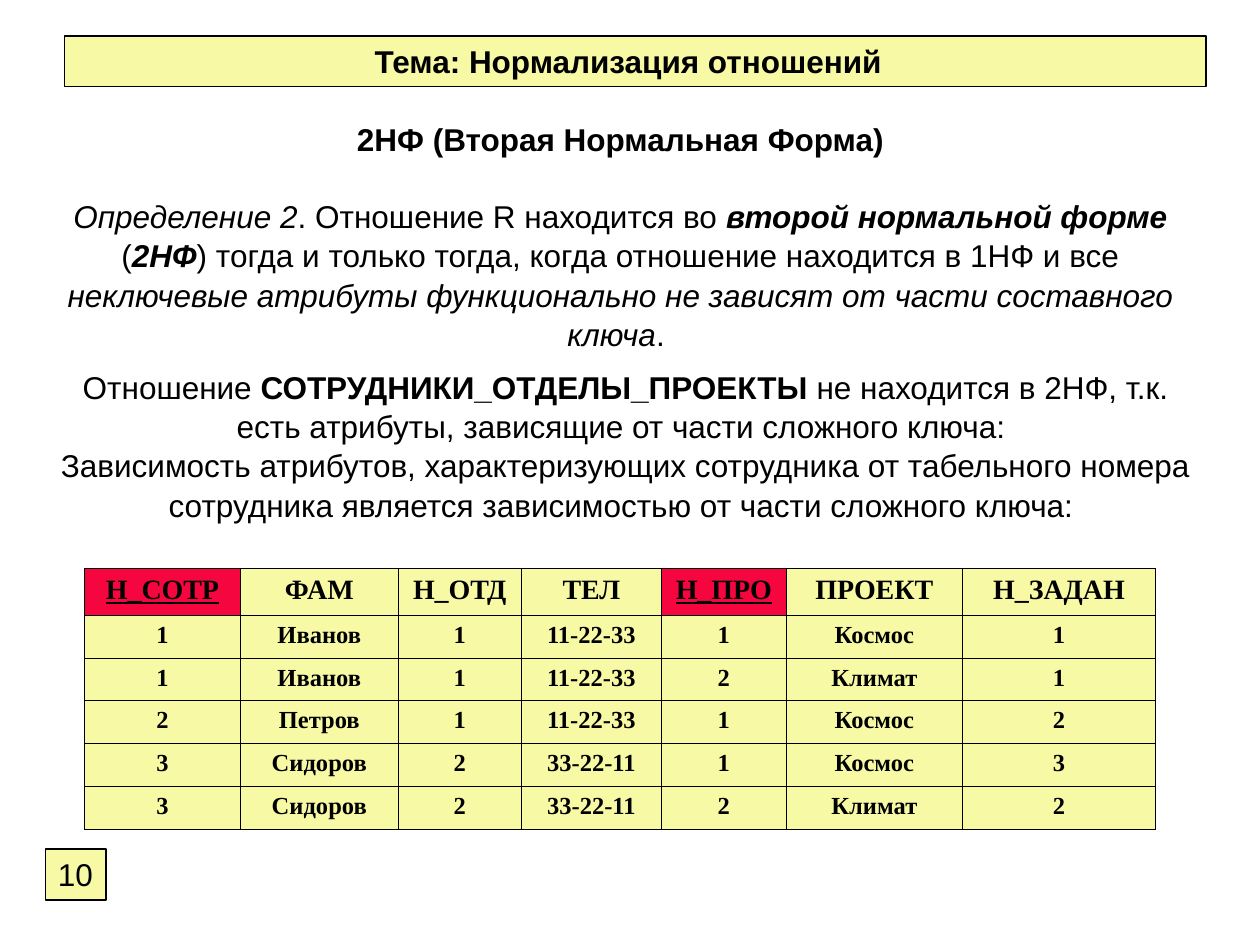
from lxml import etree
from pptx import Presentation
from pptx.dml.color import RGBColor
from pptx.enum.shapes import MSO_SHAPE as Shape
from pptx.enum.text import MSO_ANCHOR as Anchor, PP_ALIGN as Align
from pptx.oxml.ns import qn
from pptx.util import Pt

BLACK = RGBColor(0x00, 0x00, 0x00)
CREAM = RGBColor(0xF7, 0xF9, 0xA5)
RED = RGBColor(0xF6, 0x06, 0x3F)

# Run styles: bold, italic
PLAIN, BOLD, SLANT, BOTH = "", "b", "i", "bi"

INTRO = [
    [("2НФ (Вторая Нормальная Форма)", BOLD)],
    [("Определение 2", SLANT),
     (". Отношение R находится во ", PLAIN),
     ("второй нормальной форме", BOTH),
     (" (", PLAIN),
     ("2НФ", BOTH),
     (") тогда и только тогда, когда отношение находится в 1НФ и все ", PLAIN),
     ("неключевые атрибуты функционально не зависят от части "
      "составного ключа", SLANT),
     (". ", PLAIN)],
]
REASON = [
    [("Отношение ", PLAIN),
     ("СОТРУДНИКИ_ОТДЕЛЫ_ПРОЕКТЫ", BOLD),
     (" не находится в 2НФ, т.к. есть атрибуты, зависящие от части "
      "сложного ключа: ", PLAIN)],
    [("Зависимость атрибутов, характеризующих сотрудника от табельного "
      "номера сотрудника является зависимостью от части сложного ключа: ",
      PLAIN)],
]
ROWS = [
    ["Н_СОТР", "ФАМ", "Н_ОТД", "ТЕЛ", "Н_ПРО", "ПРОЕКТ", "Н_ЗАДАН"],
    ["1", "Иванов", "1", "11-22-33", "1", "Космос", "1"],
    ["1", "Иванов", "1", "11-22-33", "2", "Климат", "1"],
    ["2", "Петров", "1", "11-22-33", "1", "Космос", "2"],
    ["3", "Сидоров", "2", "33-22-11", "1", "Космос", "3"],
    ["3", "Сидоров", "2", "33-22-11", "2", "Климат", "2"],
]
KEYS = {"Н_СОТР", "Н_ПРО"}
WIDTHS = [89.3, 90, 70.5, 80, 71.3, 100.8, 110.2]


class Board:
    """Holds the slide and its style."""
    sans, serif = "Arial", "Times New Roman"
    size, head, body = 18, 16, 14
    edge = 0.45
    pitch = 1.04

    def __init__(self, slide):
        self.slide = slide

    def style(self, run, name, size, marks=PLAIN):
        font = run.font
        font.name, font.size = name, Pt(size)
        font.bold, font.italic = "b" in marks, "i" in marks
        font.color.rgb = BLACK

    def panel(self, text, left, top, width, height, marks=PLAIN,
              align=Align.LEFT, right=7.2, wrap=True):
        box = self.slide.shapes.add_shape(
            Shape.RECTANGLE, Pt(left), Pt(top), Pt(width), Pt(height))
        box.shadow.inherit = False
        box.fill.solid()
        box.fill.fore_color.rgb = CREAM
        box.line.color.rgb = BLACK
        box.line.width = Pt(1)
        frame = box.text_frame
        frame.word_wrap = wrap
        frame.vertical_anchor = Anchor.TOP
        frame.margin_right = Pt(right)
        frame.text = text
        para = frame.paragraphs[0]
        para.alignment = align
        self.style(para.runs[0], self.sans, self.size, marks)

    def prose(self, paras, left, top, width, height, gap=0, base=3.6):
        box = self.slide.shapes.add_textbox(
            Pt(left), Pt(top), Pt(width), Pt(height))
        frame = box.text_frame
        frame.word_wrap = True
        frame.vertical_anchor = Anchor.MIDDLE
        frame.margin_bottom = Pt(base)
        for i, parts in enumerate(paras):
            para = frame.add_paragraph() if i else frame.paragraphs[0]
            para.alignment = Align.CENTER
            para.line_spacing = self.pitch
            if i:
                para.space_before = Pt(gap)
            for text, marks in parts:
                run = para.add_run()
                run.text = text
                self.style(run, self.sans, self.size, marks)

    def border(self, cell):
        props = cell._tc.get_or_add_tcPr()
        for i, side in enumerate(("lnL", "lnR", "lnT", "lnB")):
            line = etree.Element(qn("a:" + side), w=str(int(Pt(self.edge))))
            fill = etree.SubElement(line, qn("a:solidFill"))
            etree.SubElement(fill, qn("a:srgbClr"), val=str(BLACK))
            props.insert(i, line)

    def table(self, rows, widths, left, top, first, rest):
        high = first + rest * (len(rows) - 1)
        grid = self.slide.shapes.add_table(
            len(rows), len(widths), Pt(left), Pt(top),
            Pt(sum(widths)), Pt(high)).table
        for col, width in zip(grid.columns, widths):
            col.width = Pt(width)
        for r, row in enumerate(rows):
            grid.rows[r].height = Pt(rest if r else first)
            for c, text in enumerate(row):
                cell = grid.cell(r, c)
                key = text in KEYS
                cell.fill.solid()
                cell.fill.fore_color.rgb = RED if key else CREAM
                self.border(cell)
                para = cell.text_frame.paragraphs[0]
                para.text = text
                para.alignment = Align.CENTER
                run = para.runs[0]
                self.style(run, self.serif, self.body if r else self.head, BOLD)
                run.font.underline = key


def main():
    deck = Presentation()
    deck.slide_width, deck.slide_height = Pt(720), Pt(540)
    board = Board(deck.slides.add_slide(deck.slide_layouts[6]))

    # Topic bar and page number
    board.panel("Тема: Нормализация отношений", 36.9, 20.4, 652.1, 29,
                BOLD, Align.CENTER, right=15)
    board.panel("10", 26, 485.3, 34.6, 29, wrap=False)

    # Definition and reasoning
    board.prose(INTRO, 8.6, 66.2, 692, 133.2, gap=21.6, base=0)
    board.prose(REASON, 25.2, 207.4, 664.6, 93.6)

    # Relation with its key columns
    board.table(ROWS, WIDTHS, 48.2, 324.7, 26.8, 24.5)

    deck.save("out.pptx")


if __name__ == "__main__":
    main()
